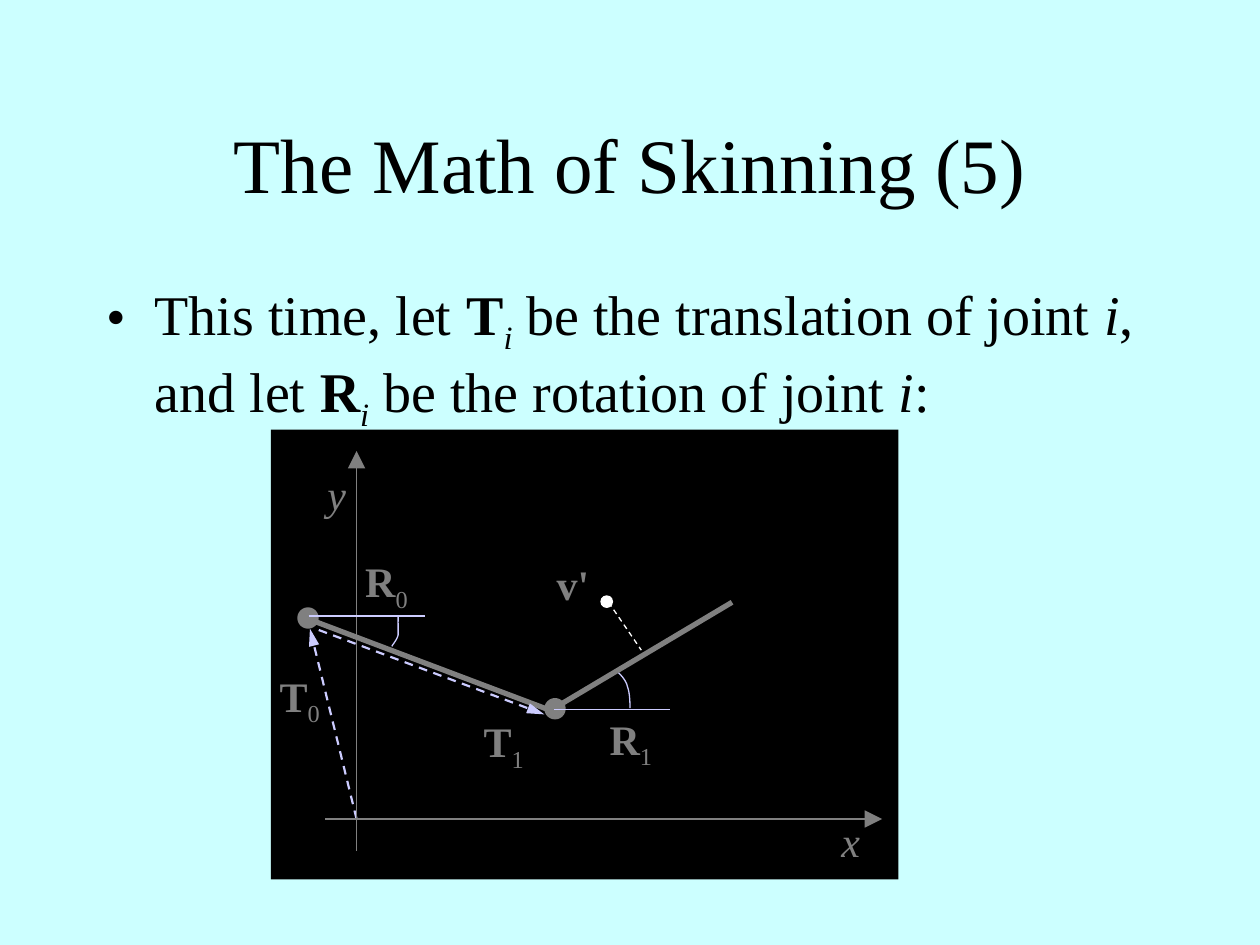
from lxml.etree import SubElement
from pptx import Presentation
from pptx.dml.color import RGBColor as RGB
from pptx.enum.dml import MSO_LINE as Dash
from pptx.enum.shapes import MSO_CONNECTOR as Link, MSO_SHAPE as Kind
from pptx.enum.text import MSO_ANCHOR as Anchor, PP_ALIGN as Align
from pptx.oxml.ns import qn
from pptx.util import Inches, Pt

FONT = "Times New Roman"
CYAN, BLACK, WHITE = RGB(0xCC, 0xFF, 0xFF), RGB(0, 0, 0), RGB(255, 255, 255)
GRAY, LILAC = RGB(0x80, 0x80, 0x80), RGB(0xCC, 0xCC, 0xFF)

TITLE = "The Math of Skinning (5)"
# Runs are (text, style): b bold, i italic, s subscript
BODY = [
    [("This time, let ", ""), ("T", "b"), ("i", "is"),
     (" be the translation of joint ", ""), ("i", "i"), (",", "")],
    [("and let ", ""), ("R", "b"), ("i", "is"),
     (" be the rotation of joint ", ""), ("i", "i"), (":", "")],
]
PANEL = (2.15, 3.41, 4.98, 3.57)
# Start, end, colour, width, dashed, width of the arrowhead
BONES = [
    ((2.83, 6.5), (2.46, 4.99), LILAC, 1.25, True, "med"),
    ((2.83, 6.75), (2.83, 3.58), GRAY, 0.75, False, "lg"),
    ((2.58, 6.5), (7, 6.5), GRAY, 0.75, False, "lg"),
    ((2.44, 4.91), (4.4, 5.65), GRAY, 3, False, None),
    ((4.4, 5.62), (5.81, 4.78), GRAY, 3, False, None),
]
GUIDES = [
    ((4.83, 4.78), (5.09, 5.16), WHITE, 0.75, True, None),
    ((2.53, 5), (4.32, 5.67), LILAC, 1.25, True, "med"),
    ((2.45, 4.89), (3.37, 4.89), LILAC, 0.75, False, None),
    ((4.4, 5.63), (5.32, 5.63), LILAC, 0.75, False, None),
]
JOINTS = [(2.36, 4.82), (4.32, 5.54)]
POINT = (4.77, 4.73)
# Each arc is a chain of cubic curves
ARCS = [
    [(3.16, 4.89), (3.16, 4.92), (3.16, 5), (3.16, 5.04),
     (3.15, 5.08), (3.12, 5.11), (3.11, 5.13)],
    [(5, 5.62), (5, 5.59), (5, 5.5), (4.98, 5.45),
     (4.97, 5.4), (4.93, 5.36), (4.91, 5.34)],
]
LABELS = [
    ((2.12, 5.27, 0.75, 0.56), [("T", "b"), ("0", "s")]),
    ((3.74, 5.63, 0.75, 0.56), [("T", "b"), ("1", "s")]),
    ((2.8, 4.36, 0.75, 0.56), [("R", "b"), ("0", "s")]),
    ((4.74, 5.61, 0.75, 0.56), [("R", "b"), ("1", "s")]),
    ((2.5, 3.67, 0.44, 0.5), [("y", "i")]),
    ((6.58, 6.42, 0.44, 0.5), [("x", "i")]),
    ((4.32, 4.38, 0.57, 0.5), [("v'", "b")]),
]


def inch(vals):
    return [Inches(v) for v in vals]


def set_font(par, size, color):
    par.font.name, par.font.size = FONT, Pt(size)
    par.font.color.rgb = color


def add_runs(par, runs):
    for text, style in runs:
        run = par.add_run()
        run.text = text
        run.font.bold = "b" in style
        run.font.italic = "i" in style
        if "s" in style:
            run._r.get_or_add_rPr().set("baseline", "-25000")


def add_box(slide, box):
    frame = slide.shapes.add_textbox(*inch(box)).text_frame
    frame.word_wrap = True
    return frame.paragraphs[0]


def add_shape(slide, kind, box, fill, edge=None):
    shape = slide.shapes.add_shape(kind, *inch(box))
    shape.shadow.inherit = False
    shape.fill.solid()
    shape.fill.fore_color.rgb = fill
    if edge:
        shape.line.color.rgb, shape.line.width = edge, Pt(0.75)
    else:
        shape.line.fill.background()


def add_line(slide, start, end, color, width, dashed, head):
    link = slide.shapes.add_connector(Link.STRAIGHT, *inch(start + end))
    link.line.color.rgb, link.line.width = color, Pt(width)
    if dashed:
        link.line.dash_style = Dash.DASH
    if head:
        SubElement(link.line._get_or_add_ln(), qn("a:tailEnd"),
                   type="triangle", w=head, len="lg")
    SubElement(link._element.spPr, qn("a:effectLst"))


def trace(arc, steps=8):
    """Return points along a chain of cubic curves."""
    pts = [arc[0]]
    for k in range(0, len(arc) - 1, 3):
        for n in range(1, steps + 1):
            t = n / steps
            u = 1 - t
            mix = (u**3, 3 * u * u * t, 3 * u * t * t, t**3)
            pts.append(tuple(sum(m * p[ax] for m, p in zip(mix, arc[k:k + 4]))
                             for ax in (0, 1)))
    return pts


def add_arc(slide, arc):
    # The builder rounds to whole units, so points are given in EMU
    first, *rest = [inch(pt) for pt in trace(arc)]
    pen = slide.shapes.build_freeform(*first)
    pen.add_line_segments(rest, close=False)
    shape = pen.convert_to_shape()
    shape.shadow.inherit = False
    shape.fill.background()
    shape.line.color.rgb, shape.line.width = LILAC, Pt(0.75)


def add_title(slide):
    title = slide.shapes.title
    title.left, title.top, title.width, title.height = inch((0.75, 0.67, 8.5, 1.25))
    title.text_frame.text = TITLE
    title.text_frame.vertical_anchor = Anchor.MIDDLE
    par = title.text_frame.paragraphs[0]
    par.alignment = Align.CENTER
    set_font(par, 44, BLACK)


def add_body(slide):
    par = add_box(slide, (0.75, 2.17, 8.5, 4.5))
    props = par._p.get_or_add_pPr()
    props.set("marL", str(Inches(0.38)))
    props.set("indent", str(-Inches(0.38)))
    SubElement(props, qn("a:buFont"), typeface=FONT)
    SubElement(props, qn("a:buChar"), char="•")
    set_font(par, 32, BLACK)
    for n, runs in enumerate(BODY):
        if n:
            par.add_line_break()
        add_runs(par, runs)


def main():
    deck = Presentation()
    deck.slide_width, deck.slide_height = Inches(10), Inches(7.5)
    slide = deck.slides.add_slide(deck.slide_layouts[5])
    slide.background.fill.solid()
    slide.background.fill.fore_color.rgb = CYAN

    add_shape(slide, Kind.RECTANGLE, PANEL, BLACK)
    add_title(slide)
    add_body(slide)
    for bone in BONES:
        add_line(slide, *bone)
    for joint in JOINTS:
        add_shape(slide, Kind.OVAL, joint + (0.17, 0.17), GRAY)
    add_shape(slide, Kind.OVAL, POINT + (0.09, 0.09), WHITE, WHITE)
    for guide in GUIDES:
        add_line(slide, *guide)
    for arc in ARCS:
        add_arc(slide, arc)
    for box, runs in LABELS:
        par = add_box(slide, box)
        set_font(par, 24, GRAY)
        add_runs(par, runs)
    deck.save("out.pptx")


if __name__ == "__main__":
    main()
